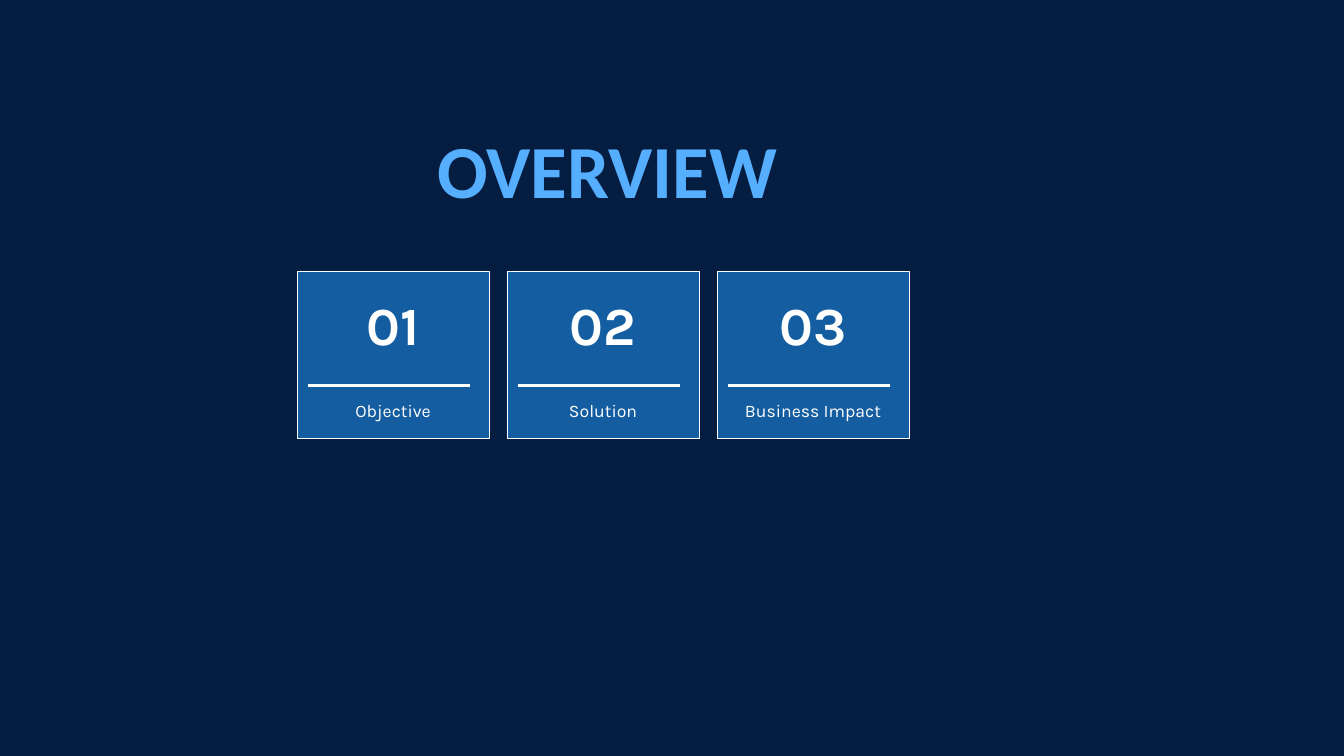
"""Build the overview slide with three numbered section cards."""
from lxml.etree import SubElement
from pptx import Presentation
from pptx.dml.color import RGBColor
from pptx.enum.shapes import MSO_CONNECTOR as Connector, MSO_SHAPE as Shape
from pptx.enum.text import MSO_ANCHOR as Anchor, MSO_AUTO_SIZE as AutoSize, PP_ALIGN as Align
from pptx.oxml.ns import qn
from pptx.util import Inches, Pt

COLORS = {"navy": "051D40", "card": "145DA0", "title": "56AEFF", "white": "FFFFFF"}
SECTIONS = ["Objective", "Solution", "Business Impact"]
GRID_LEFT, GRID_TOP = 4.42, 4.04
CARD_WIDTH, CARD_HEIGHT = 2.86, 2.49
COLUMN_STEP = 3.125


def color(name):
    return RGBColor.from_string(COLORS[name])


def write(shape, text, *, box, size, leading, font="Karla", fill="white", bold=False):
    shape.left, shape.top, shape.width, shape.height = map(Inches, box)
    frame = shape.text_frame
    frame.margin_left = frame.margin_top = frame.margin_right = frame.margin_bottom = 0
    frame.word_wrap = True
    frame.auto_size = AutoSize.NONE
    frame.vertical_anchor = Anchor.TOP
    paragraph = frame.paragraphs[0]
    paragraph.alignment = Align.CENTER
    paragraph.line_spacing = Pt(leading)
    paragraph.space_before = Pt(0)
    run = paragraph.add_run()
    run.text = text
    run.font.name = font
    run.font.size = Pt(size)
    run.font.bold = bold
    run.font.color.rgb = color(fill)


presentation = Presentation()
presentation.slide_width = Inches(20)
presentation.slide_height = Inches(11.25)
slide = presentation.slides.add_slide(presentation.slide_layouts[5])
slide.background.fill.solid()
slide.background.fill.fore_color.rgb = color("navy")
shapes = slide.shapes

write(shapes.title, "OVERVIEW", box=(GRID_LEFT, 1.84, 9.23, 1.33),
      size=80.2, leading=96.2, font="Calibri", fill="title", bold=True)

for column, label in enumerate(SECTIONS):
    left = GRID_LEFT + column * COLUMN_STEP
    card = shapes.add_shape(Shape.RECTANGLE, Inches(left), Inches(GRID_TOP),
                            Inches(CARD_WIDTH), Inches(CARD_HEIGHT))
    card.shadow.inherit = False
    card.fill.solid()
    card.fill.fore_color.rgb = color("card")
    card.line.color.rgb = color("white")
    card.line.width = Pt(0.75)

    rule_left, rule_top = left + 0.16, GRID_TOP + 1.7
    rule = shapes.add_connector(Connector.STRAIGHT, Inches(rule_left), Inches(rule_top),
                                Inches(rule_left + 2.41), Inches(rule_top))
    rule.line.color.rgb = color("white")
    rule.line.width = Pt(3)
    SubElement(rule._element.spPr, qn("a:effectLst"))

    write(shapes.add_textbox(0, 0, 0, 0), label,
          box=(rule_left, GRID_TOP + 1.87, 2.54, 0.35), size=18.9, leading=26.1)
    write(shapes.add_textbox(0, 0, 0, 0), f"{column + 1:02}",
          box=(left + 0.5, GRID_TOP + 0.16, 1.85, 1.06), size=57.4, leading=79.1, bold=True)

presentation.save("out.pptx")
